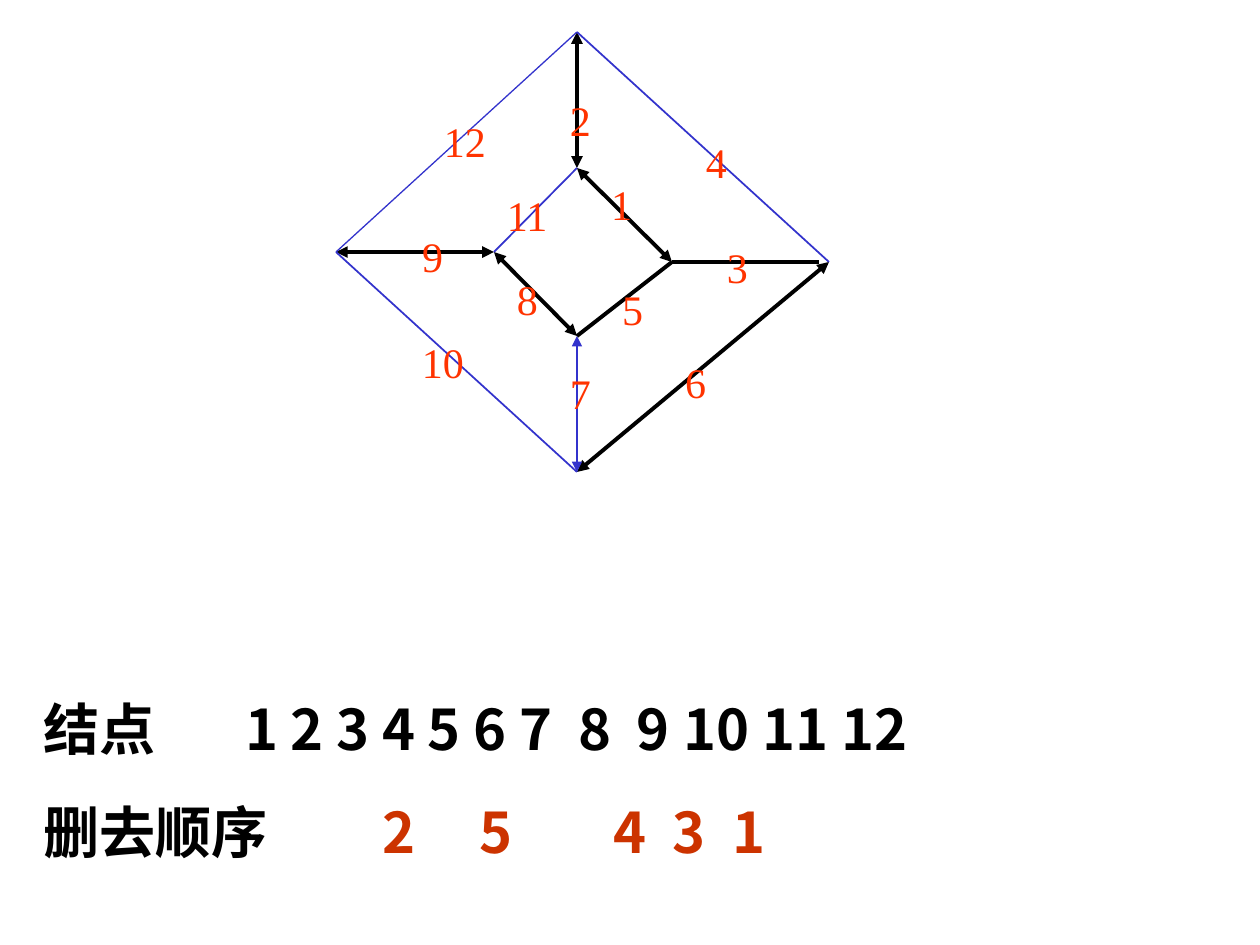
from dataclasses import dataclass

from lxml.etree import SubElement
from pptx import Presentation
from pptx.dml.color import RGBColor as RGB
from pptx.enum.shapes import MSO_CONNECTOR as Connector
from pptx.oxml.ns import qn
from pptx.util import Emu, Pt

PX_PER_INCH = 126


def px(length):
    return Emu(round(length * 914400 / PX_PER_INCH))


@dataclass(frozen=True)
class Theme:
    ink: RGB = RGB.from_string("000000")
    thin_edge: RGB = RGB.from_string("3333CC")
    edge_label: RGB = RGB.from_string("FF3300")
    removed: RGB = RGB.from_string("CC3300")
    label_font: str = "Times New Roman"
    table_font: str = "Noto Sans CJK SC"
    label_size: int = 24
    table_size: int = 32


THEME = Theme()

# Graph corners, relative to the diagram box
NODES = {
    "top": (241, 0), "right": (493, 230), "bottom": (241, 440), "left": (0, 220),
    "inner top": (241, 136), "inner right": (336, 230),
    "inner bottom": (241, 304), "inner left": (158, 220),
    "near right": (483, 230),
}

# Edges: start, end, width in points, arrowheads at both ends, colour
EDGES = [
    ("right", "bottom", 2.25, True, THEME.ink),
    ("inner left", "inner bottom", 2.25, True, THEME.ink),
    ("inner right", "near right", 2.25, False, THEME.ink),
    ("left", "inner left", 2.25, True, THEME.ink),
    ("top", "inner top", 2.25, True, THEME.ink),
    ("inner top", "inner right", 2.25, True, THEME.ink),
    ("inner bottom", "bottom", 1, True, THEME.thin_edge),
    ("top", "left", 0.75, False, THEME.thin_edge),
    ("left", "bottom", 1, False, THEME.thin_edge),
    ("top", "right", 1, False, THEME.thin_edge),
    ("inner bottom", "inner right", 2.25, False, THEME.ink),
    ("inner top", "inner left", 1, False, THEME.thin_edge),
]

# Top left corners of the edge numbers, relative to the diagram box
LABELS = {
    1: (262, 136), 2: (221, 52), 3: (378, 199), 4: (357, 94),
    5: (273, 241), 6: (336, 314), 7: (221, 325), 8: (168, 230),
    9: (73, 188), 10: (73, 293), 11: (158, 147), 12: (95, 73),
}

# Table rows: heading, value colour, {value: centre of its column}
NODE_COLUMNS = {1: 218, 2: 263, 3: 309, 4: 355, 5: 400, 6: 446,
                7: 492, 8: 551, 9: 609, 10: 673, 11: 752, 12: 831}
REMOVAL_COLUMNS = {2: 355, 5: 452, 4: 586, 3: 645, 1: 705}
ROWS = [
    ("结点", THEME.ink, NODE_COLUMNS),
    ("删去顺序", THEME.removed, REMOVAL_COLUMNS),
]


def add_text_frame(slide, box, top_inset, bottom_inset):
    frame = slide.shapes.add_textbox(*map(px, box)).text_frame
    frame.word_wrap = True
    frame.margin_left = frame.margin_right = px(13)
    frame.margin_top, frame.margin_bottom = px(top_inset), px(bottom_inset)
    return frame


def write(paragraph, words, *, font, size, color, bold=False):
    run = paragraph.add_run()
    run.text = words
    run.font.name, run.font.size, run.font.bold = font, Pt(size), bold
    run.font.color.rgb = color
    SubElement(run.font._element, qn("a:ea"), typeface=font)


def add_edge(slide, start, end, width, arrows, color):
    edge = slide.shapes.add_connector(Connector.STRAIGHT, *map(px, start + end))
    edge.line.width = Pt(width)
    edge.line.color.rgb = color
    if arrows:
        outline = edge.line._get_or_add_ln()
        for tip in ("a:headEnd", "a:tailEnd"):
            SubElement(outline, qn(tip), type="triangle")
    SubElement(edge._element.spPr, qn("a:effectLst"))


def add_tab_stops(paragraph, centres):
    stops = SubElement(paragraph._p.get_or_add_pPr(), qn("a:tabLst"))
    for centre in centres:
        SubElement(stops, qn("a:tab"), pos=str(px(centre)), algn="ctr")


def draw_graph(slide, left, top):
    def place(point):
        return left + point[0], top + point[1]

    # Edges
    for start, end, *style in EDGES:
        add_edge(slide, place(NODES[start]), place(NODES[end]), *style)

    # Edge numbers
    for number, corner in LABELS.items():
        width = 42 if number < 10 else 73
        frame = add_text_frame(slide, (*place(corner), width, 63), 11, 3)
        write(frame.paragraphs[0], str(number), font=THEME.label_font,
              size=THEME.label_size, color=THEME.edge_label)


def draw_removal_order(slide, box):
    frame = add_text_frame(slide, box, 10, 2)
    style = dict(font=THEME.table_font, size=THEME.table_size, bold=True)
    for index, (heading, color, columns) in enumerate(ROWS):
        row = frame.add_paragraph() if index else frame.paragraphs[0]
        row.line_spacing = Pt(39)
        if index:
            row.space_before = Pt(20)
        add_tab_stops(row, columns.values())
        write(row, heading, color=THEME.ink, **style)
        values = "".join(f"\t{value}" for value in columns)
        write(row, values, color=color, **style)


def main():
    deck = Presentation()
    deck.slide_width, deck.slide_height = px(1260), px(945)
    slide = deck.slides.add_slide(deck.slide_layouts[6])
    draw_graph(slide, 336, 32)
    draw_removal_order(slide, (31, 683, 1187, 183))
    deck.save("out.pptx")


if __name__ == "__main__":
    main()
